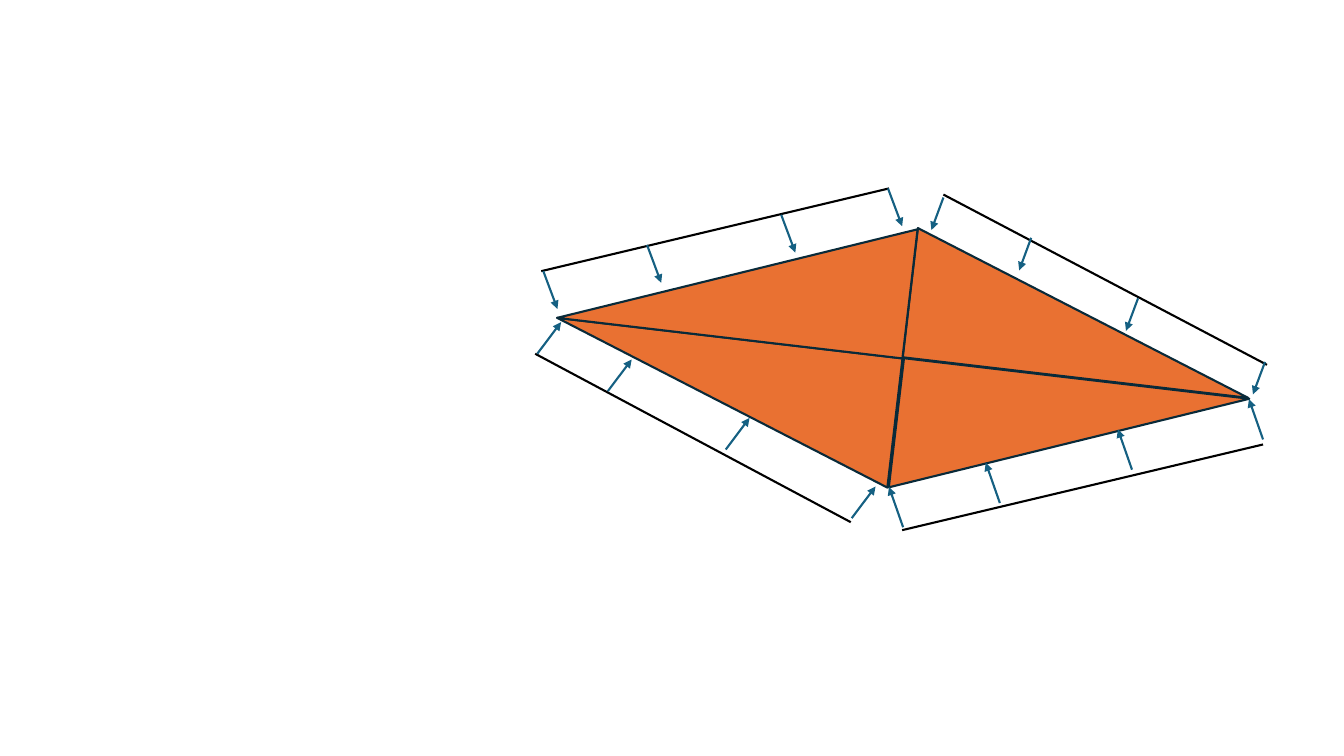
from lxml import etree
from pptx import Presentation
from pptx.dml.color import RGBColor
from pptx.enum.shapes import MSO_CONNECTOR, MSO_SHAPE
from pptx.oxml.ns import qn
from pptx.util import Pt

STRAIGHT = MSO_CONNECTOR.STRAIGHT
RIGHT_TRI = MSO_SHAPE.RIGHT_TRIANGLE

COLORS = {"fill": "E97132", "edge": "092A39", "bar": "000000", "arrow": "156082"}
STROKE = 1.5
TRI_SIZE = (248.4, 92.9)
TILT = 6.7

# left, top, rotation, flipped
TRIANGLES = [
    (649.4, 177.1, TILT, False),
    (391.7, 241.2, TILT + 180, False),
    (639.4, 270, TILT + 180, True),
    (402.5, 149, TILT, True),
]

# Each side: load bar ends, arrow vector, arrow starts
SIDES = [
    {"bar": ((386.6, 193.7), (635, 134.6)), "step": (10.1, 27),
     "starts": [(388.1, 193.7), (462.2, 175), (558, 153.4), (634.3, 134.6)]},
    {"bar": ((382.3, 252.7), (607.7, 373)), "step": (17, -22.6),
     "starts": [(383.8, 252.7), (434.2, 279.4), (518.4, 321.1), (608.4, 370.1)]},
    {"bar": ((644.4, 378.7), (902.2, 317.5)), "step": (-10.1, -28.8),
     "starts": [(645.1, 376.6), (714.2, 359.3), (808.6, 335.5), (902.2, 313.9)]},
    {"bar": ((905, 260.6), (673.9, 139)), "step": (-8.6, 23.2),
     "starts": [(673.9, 141.1), (736.6, 169.9), (812.9, 213.1), (903.6, 258.5)]},
]


def paint(line, name):
    line.color.rgb = RGBColor.from_string(COLORS[name])
    line.width = Pt(STROKE)


def add_tri(shapes, left, top, turn, flip):
    tri = shapes.add_shape(RIGHT_TRI, *map(Pt, (left, top, *TRI_SIZE)))
    tri.rotation = turn
    tri.shadow.inherit = False
    tri.fill.solid()
    tri.fill.fore_color.rgb = RGBColor.from_string(COLORS["fill"])
    paint(tri.line, "edge")
    if flip:
        tri.element.spPr.find(qn("a:xfrm")).set("flipH", "1")


def add_line(shapes, start, end, name, head=False):
    link = shapes.add_connector(STRAIGHT, *map(Pt, (*start, *end)))
    paint(link.line, name)
    props = link.element.spPr
    if head:
        etree.SubElement(props.find(qn("a:ln")), qn("a:tailEnd"), type="triangle")
    etree.SubElement(props, qn("a:effectLst"))


def main():
    deck = Presentation()
    deck.slide_width, deck.slide_height = Pt(960), Pt(540)
    shapes = deck.slides.add_slide(deck.slide_layouts[6]).shapes
    for tri in TRIANGLES:
        add_tri(shapes, *tri)
    for side in SIDES:
        add_line(shapes, *side["bar"], "bar")
    for side in SIDES:
        dx, dy = side["step"]
        for x, y in side["starts"]:
            add_line(shapes, (x, y), (x + dx, y + dy), "arrow", head=True)
    deck.save("out.pptx")


if __name__ == "__main__":
    main()
